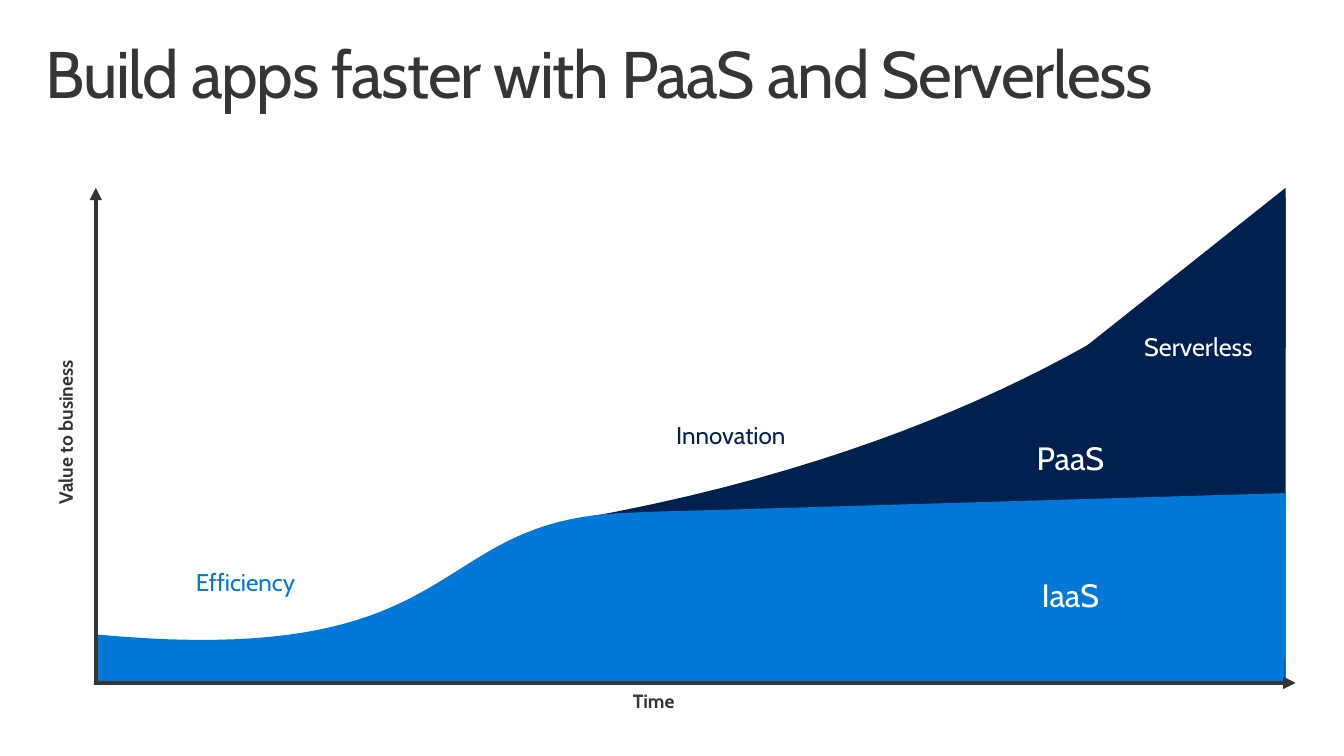
from lxml.etree import SubElement
from pptx import Presentation
from pptx.dml.color import RGBColor
from pptx.enum.shapes import MSO_CONNECTOR as Connector, MSO_SHAPE as Shape
from pptx.enum.text import MSO_ANCHOR as Anchor, MSO_AUTO_SIZE as AutoSize, PP_ALIGN as Align
from pptx.oxml.ns import qn
from pptx.util import Inches, Pt

FONT = "Cabin"
GRAY, BLUE, NAVY, WHITE = "353535", "0078D7", "002050", "FFFFFF"
CURVE_STEPS = 40


def color(hex_string):
    return RGBColor.from_string(hex_string)


def format_text(text_frame, text, size, hex_color, bold=False, align=Align.LEFT,
                insets=(0.2, 0.16)):
    text_frame.text = text
    text_frame.vertical_anchor = Anchor.TOP
    text_frame.margin_left = text_frame.margin_right = Inches(insets[0])
    text_frame.margin_top = text_frame.margin_bottom = Inches(insets[1])
    paragraph = text_frame.paragraphs[0]
    paragraph.alignment = align
    paragraph.line_spacing = 0.9
    run = paragraph.runs[0]
    run.font.name, run.font.size, run.font.bold = FONT, Pt(size), bold
    run.font.color.rgb = color(hex_color)
    return run


def curve(start, control_1, control_2, end):
    """Points along a cubic Bezier curve, both ends included."""
    points = []
    for step in range(CURVE_STEPS + 1):
        t = step / CURVE_STEPS
        weights = ((1 - t) ** 3, 3 * t * (1 - t) ** 2, 3 * t ** 2 * (1 - t), t ** 3)
        corners = (start, control_1, control_2, end)
        points.append(tuple(sum(w * corner[axis] for w, corner in zip(weights, corners))
                            for axis in (0, 1)))
    return points


def fill_plain(shape, hex_color):
    shape.shadow.inherit = False
    shape.fill.solid()
    shape.fill.fore_color.rgb = color(hex_color)
    shape.line.fill.background()


def add_area(shapes, left, top, points, hex_color):
    outline = [(Inches(left + x), Inches(top + y)) for x, y in points]
    builder = shapes.build_freeform(*outline[0], scale=1.0)
    builder.add_line_segments(outline[1:], close=True)
    fill_plain(builder.convert_to_shape(), hex_color)


def add_axis(slide, left, top, start, end):
    axis = slide.shapes.add_connector(
        Connector.STRAIGHT, Inches(left + start[0]), Inches(top + start[1]),
        Inches(left + end[0]), Inches(top + end[1]))
    axis.line.color.rgb = color(GRAY)
    axis.line.width = Pt(3)
    SubElement(axis.line._get_or_add_ln(), qn("a:tailEnd"), type="triangle")
    SubElement(axis._element.spPr, qn("a:effectLst"))


def add_label(slide, left, top, width, height, text, size, hex_color,
              wrap=True, rotation=0, **text_options):
    box = slide.shapes.add_textbox(Inches(left), Inches(top), Inches(width), Inches(height))
    box.rotation = rotation
    format_text(box.text_frame, text, size, hex_color, **text_options)
    box.text_frame.word_wrap = wrap
    box.text_frame.auto_size = AutoSize.SHAPE_TO_FIT_TEXT


def add_title(slide, left, top, width, height):
    title = slide.shapes.title
    title.left, title.top = Inches(left), Inches(top)
    title.width, title.height = Inches(width), Inches(height)
    run = format_text(title.text_frame, "Build apps faster with PaaS and Serverless",
                      48, GRAY, insets=(0.16, 0.1))
    run._r.get_or_add_rPr().set("spc", "-100")


def add_value_chart(slide, left, top, width, height):
    # Innovation area: curved wedge plus the steep serverless corner
    innovation = slide.shapes.add_group_shape().shapes
    wedge = curve((4.9, 3.35), (10.04, 2.44), (12.04, 0.12), (12.06, 0.1))
    wedge += [(12.06, 5)]
    wedge += curve((5.95, 4.98), (5.81, 3.97), (4.93, 3.36), (4.9, 3.35))
    add_area(innovation, left, top, wedge, NAVY)
    corner = innovation.add_shape(Shape.ISOSCELES_TRIANGLE, Inches(left + 10.02),
                                  Inches(top), Inches(2.04), Inches(1.62))
    corner.adjustments[0] = 1
    fill_plain(corner, NAVY)

    # Efficiency area
    efficiency = curve((0.02, 4.52), (3.72, 4.87), (3.34, 3.46), (5.2, 3.3))
    efficiency += [(5.59, 3.28), (5.97, 3.27), (12.06, 3.09), (12.05, 5), (0, 5.03)]
    add_area(slide.shapes, left, top, efficiency, BLUE)

    # Axes
    add_axis(slide, left, top, (0.02, height), (0.02, 0))
    add_axis(slide, left, top, (0, height), (width, height))

    # Axis names
    axis_style = dict(size=14, hex_color=GRAY, bold=True, align=Align.CENTER)
    add_label(slide, left - 2.7, top + 2.21, 4.96, 0.53, "Value to business",
              rotation=270, **axis_style)
    add_label(slide, left + 3.77, top + 5, 3.79, 0.53, "Time", **axis_style)

    # Phase names above the curve
    for x, y, label_width, text, hex_color in (
            (0.81, 3.74, 1.45, "Efficiency", BLUE),
            (5.62, 2.25, 1.65, "Innovation", NAVY)):
        add_label(slide, left + x, top + y, label_width, 0.58, text, 17.6, hex_color,
                  align=Align.CENTER)

    # Service names inside the areas
    for x, y, label_width, label_height, text, size, insets in (
            (9.34, 2.42, 1.11, 0.68, "PaaS", 23.5, (0.2, 0.16)),
            (9.39, 3.81, 1.01, 0.68, "IaaS", 23.5, (0.2, 0.16)),
            (10.53, 1.44, 1.35, 0.39, "Serverless", 18.4, (0.1, 0.05))):
        add_label(slide, left + x, top + y, label_width, label_height, text, size, WHITE,
                  wrap=False, insets=insets)


def main():
    presentation = Presentation()
    presentation.slide_width, presentation.slide_height = Inches(13.6), Inches(7.65)
    slide = presentation.slides.add_slide(presentation.slide_layouts[5])
    add_title(slide, 0.3, 0.32, 13, 1)
    add_value_chart(slide, 0.95, 1.9, 12.16, 5.01)
    presentation.save("out.pptx")


if __name__ == "__main__":
    main()
